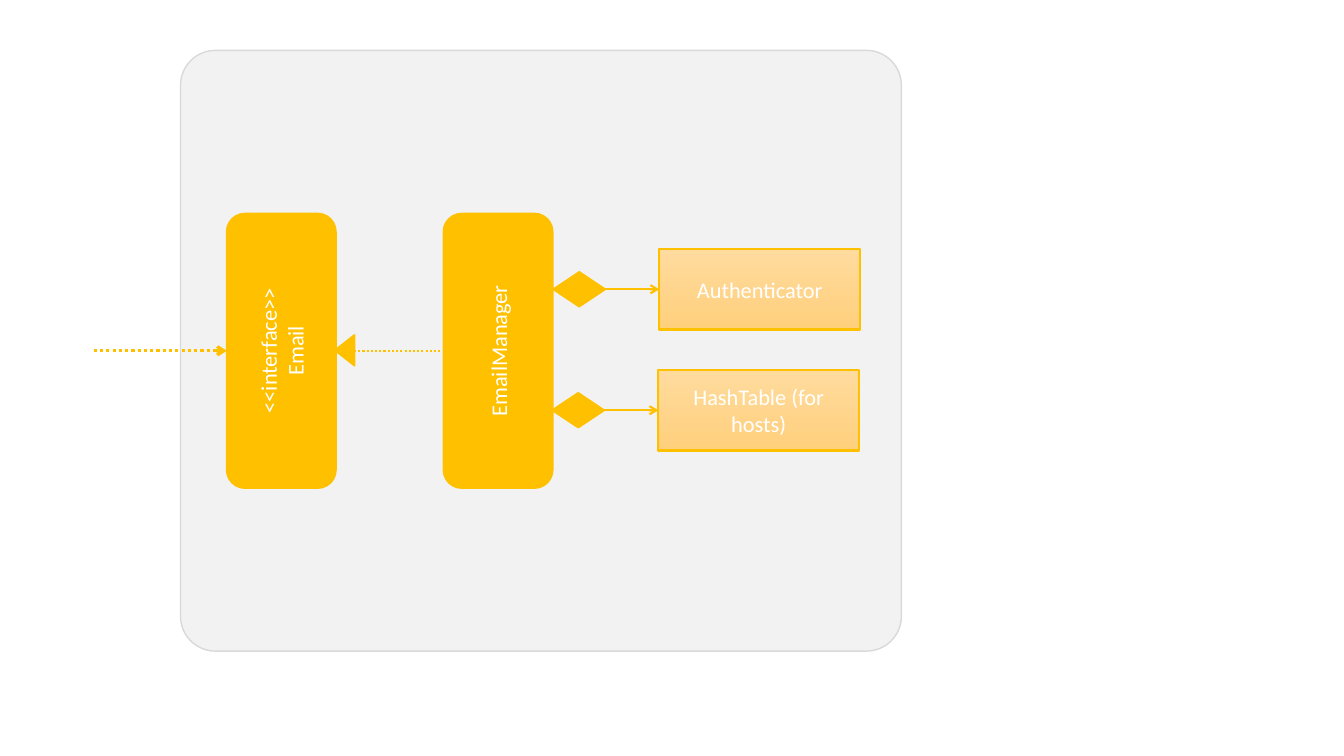
from pptx import Presentation
from pptx import util as u
from pptx.dml.color import RGBColor
from pptx.enum import dml, shapes, text
from pptx.oxml.ns import qn
from lxml import etree

PX = 9144  # EMU per px, 100 px to the inch
AMBER = RGBColor(0xFF, 0xC0, 0x00)
PEACH_LIGHT = RGBColor(0xFF, 0xDB, 0x9E)
PEACH_DARK = RGBColor(0xFF, 0xD0, 0x7C)
PANEL_FILL = RGBColor(0xF2, 0xF2, 0xF2)
PANEL_LINE = RGBColor(0xD9, 0xD9, 0xD9)
WHITE = RGBColor(0xFF, 0xFF, 0xFF)
KIND = shapes.MSO_SHAPE

deck = Presentation()
deck.slide_width, deck.slide_height = 1333 * PX, 750 * PX
page = deck.slides.add_slide(deck.slide_layouts[6])


def add_box(kind, left, top, width, height, label="", fill=AMBER, line=AMBER, weight=1.5):
    box = page.shapes.add_shape(kind, left * PX, top * PX, width * PX, height * PX)
    box.shadow.inherit = False
    box.fill.solid()
    box.fill.fore_color.rgb = fill
    box.line.color.rgb = line
    box.line.width = u.Pt(weight)
    if label:
        frame = box.text_frame
        frame.text = label
        frame.word_wrap = True
        frame.vertical_anchor = text.MSO_ANCHOR.MIDDLE
        for para in frame.paragraphs:
            para.alignment = text.PP_ALIGN.CENTER
            para.font.name = "Calibri"
            para.font.size = u.Pt(16)
            para.font.color.rgb = WHITE
    return box


def add_link(start, end, y, weight=1.5, dotted=False, arrow=True):
    link = page.shapes.add_connector(
        shapes.MSO_CONNECTOR.STRAIGHT, start * PX, y * PX, end * PX, y * PX)
    link.line.color.rgb = AMBER
    link.line.width = u.Pt(weight)
    if dotted:
        link.line.dash_style = dml.MSO_LINE.ROUND_DOT
    if arrow:
        etree.SubElement(link.line._get_or_add_ln(), qn("a:tailEnd"), type="arrow")
    etree.SubElement(link._element.spPr, qn("a:effectLst"))


# Component panel and the incoming dependency
panel = add_box(KIND.ROUNDED_RECTANGLE, 179, 50, 715, 596,
                fill=PANEL_FILL, line=PANEL_LINE, weight=1)
panel.adjustments[0] = 0.058
add_link(93, 225, 348, weight=2.25, dotted=True)

# Interface and its manager, turned to read upwards
for left, label in ((143, "<<interface>>\nEmail"), (358, "EmailManager")):
    add_box(KIND.ROUNDED_RECTANGLE, left, 294, 272, 108, label).rotation = 270

# Realization of the interface
add_link(347, 437, 348, dotted=True, arrow=False)
add_box(KIND.ISOSCELES_TRIANGLE, 327, 338, 30, 19).rotation = 270

# Parts held by the manager
for left, middle, label in ((549, 287, "Authenticator"), (548, 407, "HashTable (for hosts)")):
    part_left = left + 105
    add_link(left + 51, part_left, middle)
    add_box(KIND.FLOWCHART_DECISION, left, middle - 17, 51, 34)
    part = add_box(KIND.RECTANGLE, part_left, middle - 40, 199, 80, label)
    part.fill.gradient()
    part.fill.gradient_angle = 270
    for stop, colour in zip(part.fill.gradient_stops, (PEACH_LIGHT, PEACH_DARK)):
        stop.color.rgb = colour

deck.save("out.pptx")
